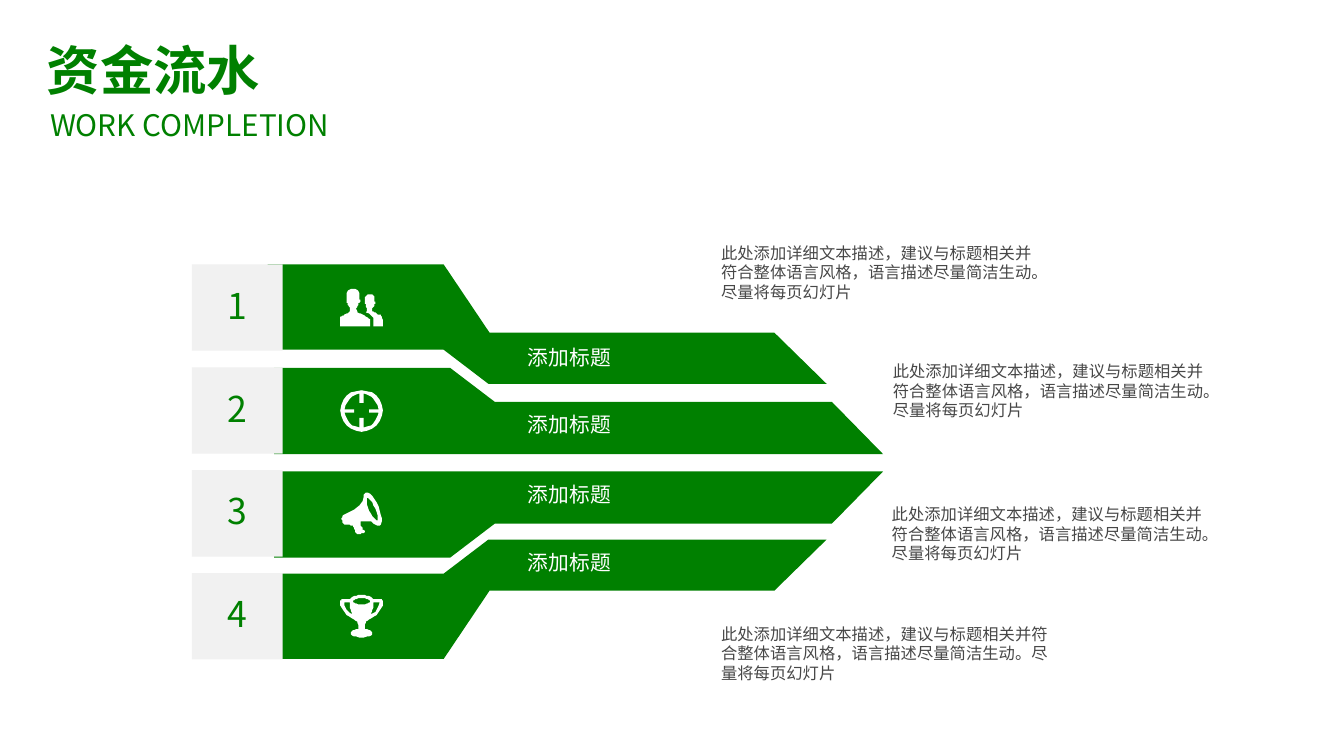
import lxml.etree
import pptx
import pptx.dml.color
import pptx.enum.shapes
import pptx.enum.text
import pptx.oxml.ns
import pptx.util

Inches = pptx.util.Inches
Pt = pptx.util.Pt
RGBColor = pptx.dml.color.RGBColor
Anchor = pptx.enum.text.MSO_ANCHOR
Align = pptx.enum.text.PP_ALIGN

GREEN = RGBColor(0x00, 0x80, 0x00)
LIGHT_GREY = RGBColor(0xF1, 0xF1, 0xF1)
DARK_GREY = RGBColor(0x47, 0x47, 0x47)
WHITE = RGBColor(0xFF, 0xFF, 0xFF)
FONT = "Noto Sans CJK SC"

UNIT = Inches(0.01)
CURVE_STEPS = 6
ROW_TOP, ROW_PITCH = 2.48, 0.965
ICON_LEFT = 3.19

LABEL = "添加标题"
DESCRIPTION = "此处添加详细文本描述，建议与标题相关并符合整体语言风格，语言描述尽量简洁生动。尽量将每页幻灯片"

OUTER_BAND = "M 251 248 L 416 248 L 459 312 L 726 312 L 775 360 L 458 360 L 416 328 L 251 328 Z"
INNER_BAND = "M 257 345 L 422 345 L 464 377 L 780 377 L 828 426 L 257 426 Z"
OUTER_MIRROR, INNER_MIRROR = 866, 868

PEOPLE_ICON = (
    "M 21 24 C 17 23 15 21 15 18 C 15 17 17 17 17 14 C 17 13 18 14 19 11 "
    "C 19 10 18 9 18 9 C 18 9 18 8 18 6 C 19 4 17 0 12 0 C 7 0 6 4 6 6 "
    "L 6 11 C 6 14 7 13 7 14 C 8 17 9 17 9 18 C 9 21 8 23 4 24 "
    "C 2 25 0 26 0 27 L 0 35 L 28 35 L 28 29 C 28 28 24 26 21 24 Z "
    "M 40 35 C 40 35 40 27 39 26 C 39 25 37 24 34 23 C 31 22 30 21 30 19 "
    "C 30 17 31 18 32 15 C 32 14 32 15 33 13 C 33 12 32 12 32 12 L 32 10 "
    "C 33 8 32 5 28 5 C 24 5 23 8 23 10 L 23 13 C 23 15 24 14 24 15 "
    "C 24 18 25 17 25 19 C 25 20 25 21 24 22 C 30 25 31 26 31 29 L 31 35 Z"
)
TARGET_ICON = (
    "M 22 35 L 22 26 L 18 26 L 18 35 C 11 35 5 28 4 21 L 13 21 L 13 18 L 4 18 "
    "C 5 10 11 4 18 3 L 18 12 L 22 12 L 22 3 C 29 4 35 10 36 18 L 27 18 "
    "L 27 21 L 36 21 C 35 28 29 35 22 35 Z "
    "M 20 0 C 9 0 0 8 0 19 C 0 30 9 39 20 39 C 31 39 40 30 40 19 "
    "C 40 8 31 0 20 0 Z"
)
MEGAPHONE_ICON = (
    "M 35 26 C 34 26 30 23 27 17 C 24 11 25 5 25 5 C 26 4 30 8 33 15 "
    "C 36 21 35 26 35 26 Z "
    "M 36 13 C 32 5 27 -1 24 0 C 19 2 27 11 3 21 C 1 22 1 25 2 27 "
    "C 2 29 5 31 7 30 C 8 30 9 30 9 30 C 10 32 12 30 12 32 "
    "C 13 33 14 36 15 38 C 15 39 17 40 17 39 C 18 39 21 38 22 38 "
    "C 23 37 23 36 23 36 C 22 35 21 35 21 34 C 20 33 19 30 19 29 "
    "C 18 28 19 27 21 27 C 31 25 33 32 37 31 C 40 29 39 21 36 13 Z"
)
TROPHY_ICON = (
    "M 4 7 L 9 7 C 9 12 10 16 11 18 C 8 16 4 13 4 7 Z "
    "M 20 3 C 26 3 28 5 28 6 C 28 7 26 9 20 9 C 14 9 12 7 12 6 C 12 5 14 3 20 3 Z "
    "M 29 18 C 30 16 31 12 31 7 L 37 7 C 36 13 33 16 29 18 Z "
    "M 23 29 C 23 26 25 24 29 22 C 34 19 40 15 40 6 C 40 5 39 4 38 4 L 31 4 "
    "C 30 2 26 0 20 0 C 14 0 11 2 9 4 L 2 4 C 1 4 0 5 0 6 C 0 15 6 19 11 22 "
    "C 15 24 17 26 17 29 L 17 32 C 13 32 10 34 10 36 C 10 38 15 40 20 40 "
    "C 25 40 30 38 30 36 C 30 34 27 32 23 32 Z"
)

ROWS = [
    (OUTER_BAND, None, PEOPLE_ICON, 2.71, 3.23, (6.76, 2.28, 3.05, 0.56)),
    (INNER_BAND, None, TARGET_ICON, 3.66, 3.86, (8.37, 3.39, 3.05, 0.56)),
    (INNER_BAND, INNER_MIRROR, MEGAPHONE_ICON, 4.62, 4.52, (8.36, 4.73, 3.05, 0.56)),
    (OUTER_BAND, OUTER_MIRROR, TROPHY_ICON, 5.58, 5.16, (6.76, 5.85, 3.08, 0.56)),
]


def curve_points(start, first, second, end):
    points = []
    for step in range(1, CURVE_STEPS + 1):
        t = step / CURVE_STEPS
        weights = ((1 - t) ** 3, 3 * t * (1 - t) ** 2, 3 * t * t * (1 - t), t ** 3)
        points.append(tuple(
            sum(weight * value for weight, value in zip(weights, values))
            for values in zip(start, first, second, end)
        ))
    return points


def contours(outline):
    for contour in outline.split("Z"):
        tokens = contour.split()
        points = []
        while tokens:
            count = 3 if tokens[0] == "C" else 1
            numbers = [int(token) for token in tokens[1:2 * count + 1]]
            pairs = list(zip(numbers[::2], numbers[1::2]))
            points += curve_points(points[-1], *pairs) if count == 3 else pairs
            tokens = tokens[2 * count + 1:]
        if points:
            yield points


def fill_shape(shape, color):
    shape.fill.solid()
    shape.fill.fore_color.rgb = color
    shape.line.fill.background()
    shape.shadow.inherit = False


def add_outline(slide, outline, color, left=0, top=0, mirror=None):
    builder = None
    for points in contours(outline):
        if mirror is not None:
            points = [(x, mirror - y) for x, y in points]
        if builder is None:
            builder = slide.shapes.build_freeform(*points[0], scale=UNIT)
        else:
            builder.move_to(*points[0])
        builder.add_line_segments(points[1:], close=True)
    fill_shape(builder.convert_to_shape(Inches(left), Inches(top)), color)


def write_text(shape, text, size, color, bold=False, align=Align.LEFT,
               anchor=Anchor.TOP, margins=(0, 0)):
    frame = shape.text_frame
    frame.word_wrap = True
    frame.auto_size = pptx.enum.text.MSO_AUTO_SIZE.NONE
    frame.vertical_anchor = anchor
    frame.margin_left = frame.margin_right = Inches(margins[0])
    frame.margin_top = frame.margin_bottom = Inches(margins[1])
    frame.text = text
    paragraph = frame.paragraphs[0]
    paragraph.alignment = align
    font = paragraph.font
    font.size = Pt(size)
    font.bold = bold
    font.color.rgb = color
    font.name = FONT
    qn = pptx.oxml.ns.qn
    properties = paragraph._p.find(qn("a:pPr")).find(qn("a:defRPr"))
    lxml.etree.SubElement(properties, qn("a:ea")).set("typeface", FONT)
    return paragraph


def add_text(slide, position, text, size, color):
    box = slide.shapes.add_textbox(*map(Inches, position))
    write_text(box, text, size, color)


def add_number(slide, number, top):
    box = slide.shapes.add_shape(
        pptx.enum.shapes.MSO_SHAPE.RECTANGLE,
        Inches(1.8), Inches(top), Inches(0.85), Inches(0.81))
    fill_shape(box, LIGHT_GREY)
    paragraph = write_text(box, str(number), 24, GREEN, align=Align.CENTER,
                           anchor=Anchor.MIDDLE, margins=(0, 0.05))
    paragraph.line_spacing = 0.9


def add_title(slide, text):
    title = slide.shapes.title
    title.left, title.top = Inches(0.33), Inches(0.29)
    title.width, title.height = Inches(3.99), Inches(0.72)
    write_text(title, text, 36, GREEN, bold=True, margins=(0.11, 0.06))


def main():
    presentation = pptx.Presentation()
    presentation.slide_width = Inches(12.6)
    presentation.slide_height = Inches(7.09)
    slide = presentation.slides.add_slide(presentation.slide_layouts[5])

    add_title(slide, "资金流水")
    add_text(slide, (0.47, 1, 3.94, 0.34), "WORK COMPLETION", 20, GREEN)

    for index, (band, mirror, icon, icon_top, label_top, description) in enumerate(ROWS):
        add_outline(slide, band, GREEN, mirror=mirror)
        add_number(slide, index + 1, ROW_TOP + index * ROW_PITCH)
        add_outline(slide, icon, WHITE, ICON_LEFT, icon_top)
        add_text(slide, (4.95, label_top, 2.01, 0.24), LABEL, 14, WHITE)
        add_text(slide, description, DESCRIPTION, 11, DARK_GREY)

    presentation.save("out.pptx")


if __name__ == "__main__":
    main()
